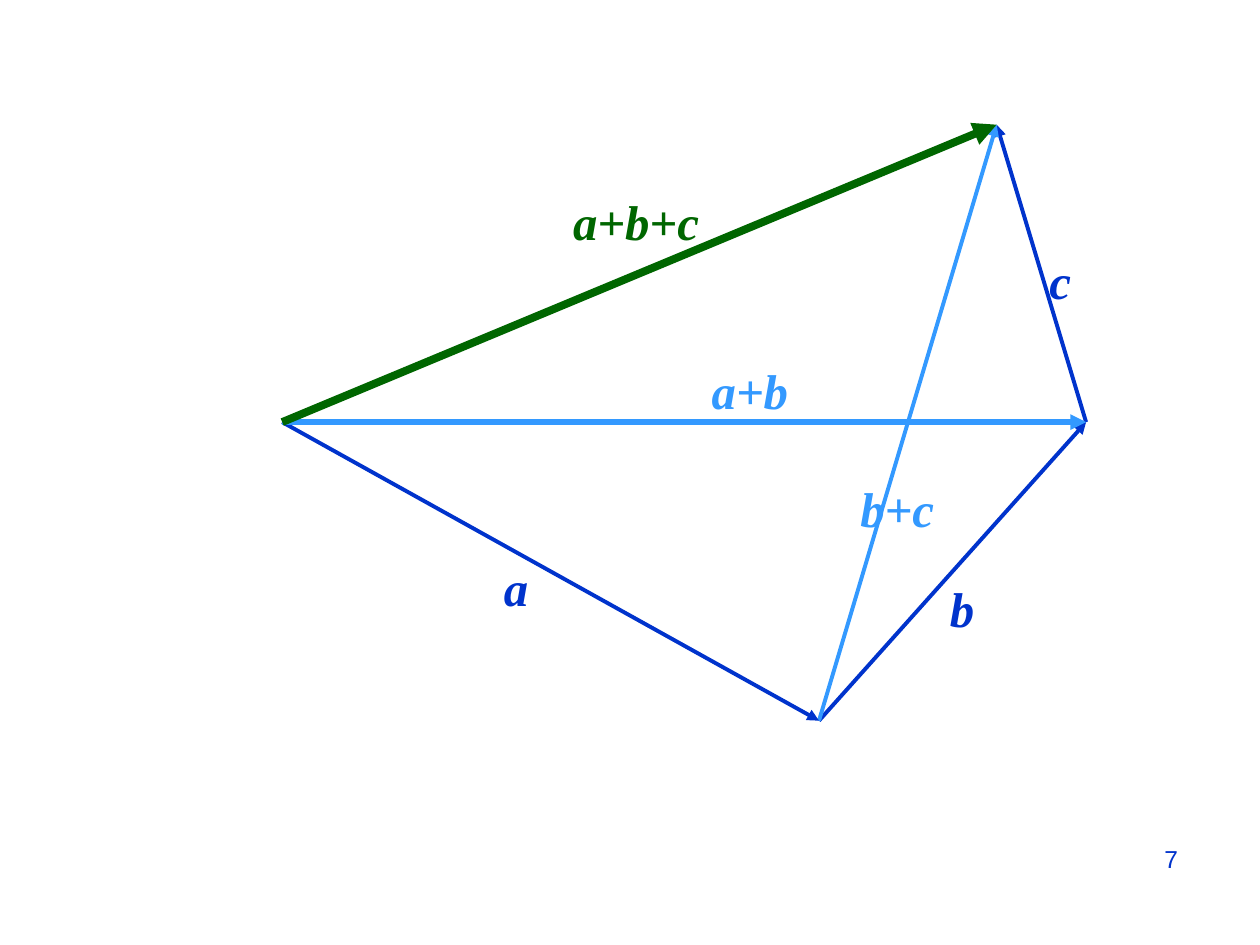
"""Build a slide showing that adding the vectors a, b and c is associative."""
from lxml.etree import SubElement
from pptx import Presentation
from pptx.dml.color import RGBColor
from pptx.enum.shapes import MSO_CONNECTOR
from pptx.enum.text import PP_ALIGN
from pptx.oxml.ns import qn
from pptx.util import Inches, Pt

COLORS = {"vector": "0033CC", "partial": "3399FF", "total": "006600"}

deck = Presentation()
deck.slide_width, deck.slide_height = Inches(10), Inches(7.5)
slide = deck.slides.add_slide(deck.slide_layouts[6])


def add_label(text, left, top, width, height=0.57, color="vector", size=27.9,
              font="Times New Roman", emphasis=True, align=PP_ALIGN.LEFT,
              inset_x=0.1, inset_y=0.05):
    """Place one line of formatted text, measured in inches."""
    label = slide.shapes.add_textbox(Inches(left), Inches(top), Inches(width), Inches(height))
    frame = label.text_frame
    frame.word_wrap = True
    frame.margin_left = frame.margin_right = Inches(inset_x)
    frame.margin_top = frame.margin_bottom = Inches(inset_y)
    paragraph = frame.paragraphs[0]
    paragraph.alignment = align
    run = paragraph.add_run()
    run.text = text
    run.font.name, run.font.size = font, Pt(size)
    run.font.bold = run.font.italic = emphasis
    run.font.color.rgb = RGBColor.from_string(COLORS[color])


add_label("7", 7.17, 6.58, 2.5, height=0.52, size=14, font="Arial", emphasis=False,
          align=PP_ALIGN.RIGHT, inset_x=0.32, inset_y=0.16)

origin, after_a, after_b, after_c = (2.24, 3.35), (6.5, 5.72), (8.62, 3.35), (7.91, 0.99)
vectors = [
    (after_a, after_b, "vector", 2.25),
    (after_b, after_c, "vector", 2.25),
    (after_a, after_c, "partial", 2.25),
    (origin, after_a, "vector", 2.25),
    (origin, after_b, "partial", 3),
    (origin, after_c, "total", 4.5),
]
for start, end, color, weight in vectors:
    arrow = slide.shapes.add_connector(MSO_CONNECTOR.STRAIGHT, *map(Inches, start + end))
    arrow.line.color.rgb = RGBColor.from_string(COLORS[color])
    arrow.line.width = Pt(weight)
    SubElement(arrow.line._get_or_add_ln(), qn("a:tailEnd"), type="triangle")
    SubElement(arrow._element.spPr, qn("a:effectLst"))

names = [
    ("c", 8.23, 1.94, 0.3, "vector"),
    ("b", 7.44, 4.54, 0.3, "vector"),
    ("a", 3.9, 4.38, 0.3, "vector"),
    ("a+b+c", 4.45, 1.47, 1.5, "total"),
    ("b+c", 6.73, 3.75, 0.87, "partial"),
    ("a+b", 5.55, 2.81, 0.94, "partial"),
]
for name, left, top, width, color in names:
    add_label(name, left, top, width, color=color)

deck.save("out.pptx")
